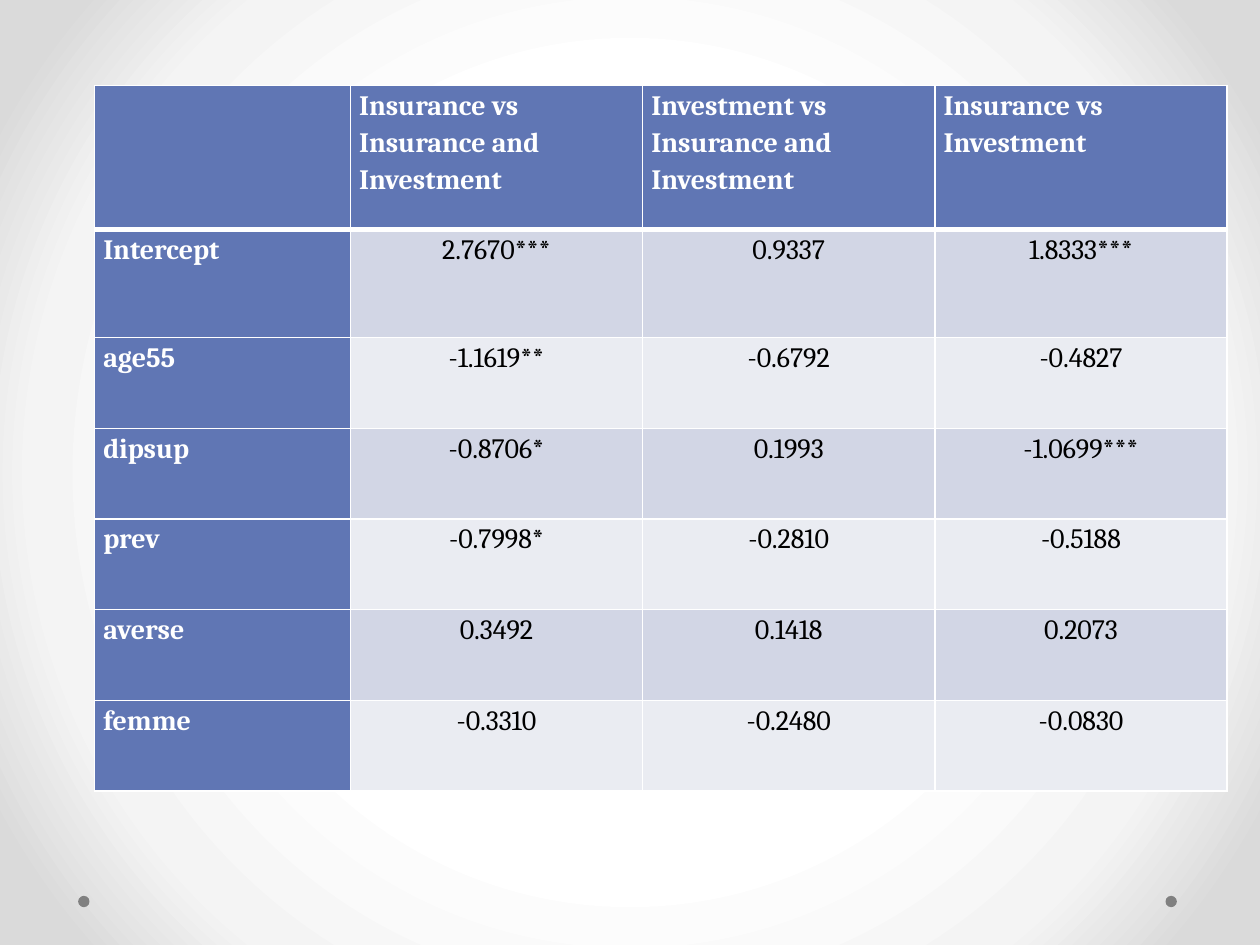
import pptx
import pptx.dml.color
import pptx.enum.shapes
import pptx.enum.text
import pptx.oxml
import pptx.oxml.ns
import pptx.util
from pptx.util import Inches

HEADERS = ["", "Insurance vs Insurance and Investment",
           "Investment vs Insurance and Investment", "Insurance vs Investment"]
COEFFICIENTS = [
    ("Intercept", "2.7670***", "0.9337", "1.8333***"),
    ("age55", "-1.1619**", "-0.6792", "-0.4827"),
    ("dipsup", "-0.8706*", "0.1993", "-1.0699***"),
    ("prev", "-0.7998*", "-0.2810", "-0.5188"),
    ("averse", "0.3492", "0.1418", "0.2073"),
    ("femme", "-0.3310", "-0.2480", "-0.0830"),
]
COLUMN_WIDTHS = [2.03] + [2.32] * 3
ROW_HEIGHTS = [1.14, 0.86] + [0.72] * 5
TABLE_LEFT, TABLE_TOP = 0.75, 0.68
BACKGROUND_STOPS = [(50, "FFFFFF"), (76, "F4F4F4"), (92, "DADADA")]
DOT_LEFTS, DOT_TOP, DOT_SIZE = [9.25, 0.62], 7.11, 0.09
HEAD_FILL, BAND_FILLS = "6076B4", ["D2D6E5", "EAECF2"]
CELL_MARGINS = {"margin_left": Inches(0.07), "margin_right": Inches(0.07),
                "margin_top": 0, "margin_bottom": 0}
BODY_FONT = {"name": "Cambria", "size": pptx.util.Pt(16), "bold": False}
HEAD_FONT = {**BODY_FONT, "bold": True}


def set_attributes(target, values):
    for name, value in values.items():
        setattr(target, name, value)


def paint(fill, color):
    fill.solid()
    fill.fore_color.rgb = pptx.dml.color.RGBColor.from_string(color)


def parse_drawing(xml):
    """Parse one element, adding the drawing namespace to its first tag."""
    tag, rest = xml.split(" ", 1)
    return pptx.oxml.parse_xml(f"{tag} {pptx.oxml.ns.nsdecls('a')} {rest}")


def draw_background(page):
    page.background.fill.gradient()
    gradient = next(page.element.iter(pptx.oxml.ns.qn("a:gradFill")))
    for child in list(gradient):
        gradient.remove(child)
    stops = "".join(f'<a:gs pos="{position * 1000}"><a:srgbClr val="{color}"/></a:gs>'
                    for position, color in BACKGROUND_STOPS)
    gradient.append(parse_drawing(f"<a:gsLst >{stops}</a:gsLst>"))
    gradient.append(parse_drawing(
        '<a:path path="circle"><a:fillToRect l="50000" t="50000" r="50000" b="50000"/></a:path>'))


def draw_borders(cell, row):
    """White lines all round, heavier between the header and the body."""
    widths = {"L": 1, "R": 1, "T": 3 if row == 1 else 1, "B": 3 if row == 0 else 1}
    properties = cell._tc.get_or_add_tcPr()
    for side, width in widths.items():
        properties.append(parse_drawing(
            f'<a:ln{side} w="{pptx.util.Pt(width)}"><a:solidFill>'
            f'<a:srgbClr val="FFFFFF"/></a:solidFill></a:ln{side}>'))


def fill_cell(cell, text, row, column):
    is_head = row == 0 or column == 0
    draw_borders(cell, row)
    paint(cell.fill, HEAD_FILL if is_head else BAND_FILLS[(row - 1) % 2])
    set_attributes(cell, CELL_MARGINS)
    if not text:
        return
    para = cell.text_frame.paragraphs[0]
    para.line_spacing = 1.15
    para.alignment = getattr(pptx.enum.text.PP_ALIGN, "LEFT" if is_head else "CENTER")
    span = para.add_run()
    span.text = text
    set_attributes(span.font, HEAD_FONT if is_head else BODY_FONT)
    paint(span.font.fill, "FFFFFF" if is_head else "000000")


def draw_table(page):
    frame = page.shapes.add_table(
        len(ROW_HEIGHTS), len(COLUMN_WIDTHS), Inches(TABLE_LEFT), Inches(TABLE_TOP),
        Inches(sum(COLUMN_WIDTHS)), Inches(sum(ROW_HEIGHTS)))
    table = frame.table
    table.first_column = True
    for column, width in zip(table.columns, COLUMN_WIDTHS):
        column.width = Inches(width)
    for row, height in zip(table.rows, ROW_HEIGHTS):
        row.height = Inches(height)
    for row, texts in enumerate([HEADERS, *COEFFICIENTS]):
        for column, text in enumerate(texts):
            fill_cell(table.cell(row, column), text, row, column)


def draw_dots(page):
    for left in DOT_LEFTS:
        dot = page.shapes.add_shape(
            pptx.enum.shapes.MSO_SHAPE.OVAL, Inches(left), Inches(DOT_TOP),
            Inches(DOT_SIZE), Inches(DOT_SIZE))
        dot.shadow.inherit = False
        paint(dot.fill, "808080")
        dot.line.fill.background()


def main():
    deck = pptx.Presentation()
    deck.slide_width, deck.slide_height = Inches(10), Inches(7.5)
    page = deck.slides.add_slide(deck.slide_layouts[6])
    draw_background(page)
    draw_dots(page)
    draw_table(page)
    deck.save("out.pptx")


if __name__ == "__main__":
    main()
